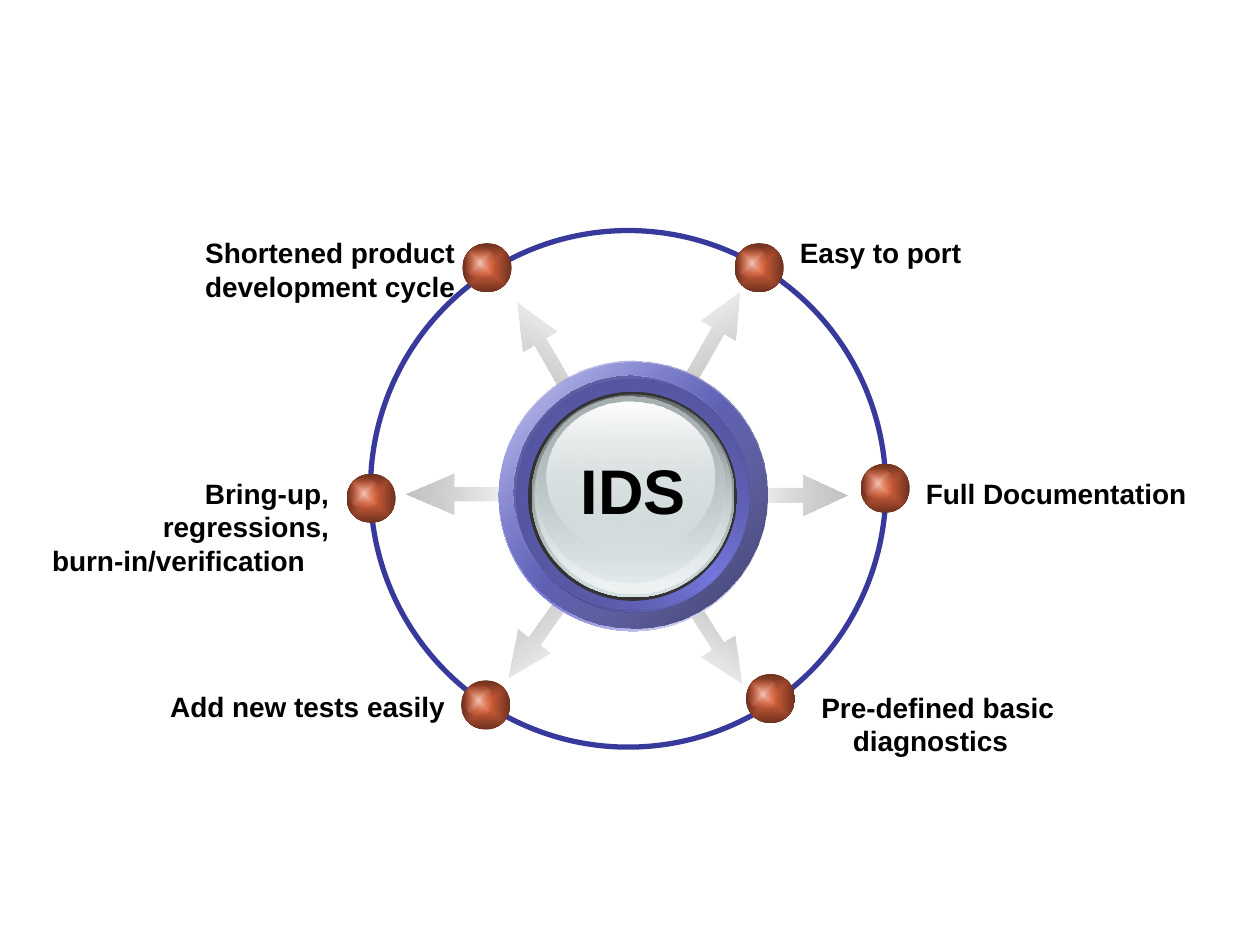
from lxml import etree
from pptx import Presentation
from pptx.dml.color import RGBColor
from pptx.enum.shapes import MSO_SHAPE
from pptx.enum.text import MSO_AUTO_SIZE, PP_ALIGN
from pptx.oxml.ns import qn
from pptx.util import Inches, Pt

OVAL, ARROW = MSO_SHAPE.OVAL, MSO_SHAPE.RIGHT_ARROW
LEFT, CENTER, RIGHT = PP_ALIGN.LEFT, PP_ALIGN.CENTER, PP_ALIGN.RIGHT
FIT = MSO_AUTO_SIZE.SHAPE_TO_FIT_TEXT

prs = Presentation()
prs.slide_width, prs.slide_height = Inches(10), Inches(7.5)
UNIT = prs.slide_width / 100  # grid of 100 columns by 75 rows


def grid(*values):
    return [round(v * UNIT) for v in values]


def within(box, shares):
    """Turn percentages of a box into a box on the grid."""
    x, y, w, h = box
    dx, dy, sw, sh = (v / 100 for v in shares)
    return x + dx * w, y + dy * h, sw * w, sh * h


def color(hex_code):
    return RGBColor.from_string(hex_code)


def gradient(sp, stops, angle=None):
    """Stops are (position, colour, opacity); no angle means from the centre."""
    sp.fill.background()
    old = sp._element.spPr.find(qn("a:noFill"))
    grad = etree.Element(qn("a:gradFill"), rotWithShape="0")
    stop_list = etree.SubElement(grad, qn("a:gsLst"))
    for position, hex_code, opacity in stops:
        gs = etree.SubElement(stop_list, qn("a:gs"), pos=str(position * 1000))
        clr = etree.SubElement(gs, qn("a:srgbClr"), val=hex_code)
        if opacity < 100:
            etree.SubElement(clr, qn("a:alpha"), val=str(opacity * 1000))
    if angle is None:
        path = etree.SubElement(grad, qn("a:path"))
        path.set("path", "rect")
        etree.SubElement(path, qn("a:fillToRect"),
                         {side: "50000" for side in "ltrb"})
    else:
        etree.SubElement(grad, qn("a:lin"), ang=str(round(angle * 60000)), scaled="0")
    old.getparent().replace(old, grad)


def add_shape(shapes, kind, box, stops=None, angle=None):
    sp = shapes.add_shape(kind, *grid(*box))
    sp.shadow.inherit = False
    sp.line.fill.background()
    if stops:
        gradient(sp, stops, angle)
    else:
        sp.fill.background()
    return sp


def add_label(shapes, box, lines, size=16, align=LEFT, wrap=False):
    """Lines are (text, left margin, right margin), margins in inches."""
    tf = shapes.add_textbox(*grid(*box)).text_frame
    tf.word_wrap = wrap
    tf.auto_size = FIT
    for i, (text, left, right) in enumerate(lines):
        p = tf.paragraphs[0] if i == 0 else tf.add_paragraph()
        p.alignment = align
        pPr = p._p.get_or_add_pPr()
        pPr.set("marL", str(Inches(left)))
        pPr.set("marR", str(Inches(right)))
        r = p.add_run()
        r.text = text
        r.font.name, r.font.size, r.font.bold = "Arial", Pt(size), True
        r.font.color.rgb = color("000000")


def add_spoke(shapes, box, rotation):
    sp = add_shape(shapes, ARROW, box,
                   [(0, "C0C0C0", 100), (100, "AAAAAA", 0)], (180 - rotation) % 360)
    sp.rotation = rotation
    sp.adjustments[0] = 0.35
    sp.adjustments[1] = box[2] / box[3] * 0.41


def add_orbit(shapes, box):
    sp = add_shape(shapes, OVAL, box)
    sp.line.color.rgb = color("37399B")
    sp.line.width = Pt(3)


def add_bead(shapes, box):
    group = shapes.add_group_shape()
    add_shape(group.shapes, OVAL, box, [(0, "E3663F", 100), (100, "6D311E", 100)])
    add_shape(group.shapes, OVAL, within(box, (4.5, 8.5, 62, 64)),
              [(0, "F3C6B8", 100), (100, "E3663F", 0)])


# Hub layers from back to front: shares of the hub box, stops, angle
HUB_LAYERS = [
    ((0, 0.9, 100, 100),
     [(0, "FEFEFE", 100), (50, "7476DC", 100), (100, "FEFEFE", 100)], 225),
    ((0, 0, 100, 100), [(0, "353665", 100), (100, "7476DC", 32)], 225),
    ((6.6, 7, 86.9, 86.9),
     [(0, "3E3F76", 100), (50, "7476DC", 100), (100, "3E3F76", 100)], 135),
    ((5.6, 5.6, 86.9, 86.9), [(0, "7476DC", 0), (100, "494A8B", 100)], 225),
    ((10.8, 11.7, 77.9, 77.9), [(0, "333333", 100), (100, "333333", 100)], 90),
    ((12.2, 12.7, 75.6, 75.6), [(0, "626768", 100), (100, "D6E1E2", 100)], 90),
    ((13.1, 13.1, 73.7, 73.7), [(0, "D6E1E2", 0), (100, "EFF3F3", 100)], 90),
    ((14.1, 13.6, 70, 69), [(0, "A8B1B2", 100), (100, "D6E1E2", 48)], 90),
    ((17.8, 15.5, 62.4, 55.9), [(0, "FEFEFE", 100), (100, "D6E1E2", 38)], 90),
]


def add_hub(shapes, box, text):
    for shares, stops, angle in HUB_LAYERS:
        add_shape(shapes, OVAL, within(box, shares), stops, angle)
    add_label(shapes, within(box, (25.8, 31.5, 48.4, 32.9)),
              [(text, 0, 0)], size=36, align=CENTER)


# Spokes: left, top, length, rotation
SPOKES = [
    (52.2, 25.3, 8.7, 299.6), (52.2, 49, 8.7, 57.8), (38.9, 26.2, 8.7, 239.5),
    (38.5, 48.6, 8.7, 125.6), (58.6, 37.7, 8.7, 0), (32.2, 37.6, 9.4, 180),
]

# Benefits: bead corner, label box, alignment, wrap, lines
BENEFITS = [
    ((58.3, 19.3), (62.5, 18.2, 14.8, 3.7), LEFT, False, [("Easy to port", 0, 0)]),
    ((68.3, 36.8), (72.5, 37.3, 22.7, 3.7), LEFT, False,
     [("Full Documentation", 0, 0)]),
    ((59.2, 53.5), (64.2, 54.3, 20.5, 6.4), LEFT, False,
     [("Pre-defined basic", 0, 0), ("diagnostics", 0.25, 0)]),
    ((36.6, 54), (10, 54.2, 26.3, 3.7), RIGHT, True,
     [("Add new tests easily", 0, 0)]),
    ((27.5, 37.6), (1.5, 37.3, 25.6, 6.4), RIGHT, False,
     [("Bring-up, regressions,", 0, 0), ("burn-in/verification", 0, 0.19)]),
    ((36.7, 19.3), (14.7, 18.2, 22.4, 6.4), RIGHT, False,
     [("Shortened product", 0, 0), ("development cycle", 0, 0)]),
]
BEAD = 3.9


def build_slide():
    shapes = prs.slides.add_slide(prs.slide_layouts[6]).shapes
    for x, y, length, rotation in SPOKES:
        add_spoke(shapes, (x, y, length, 3.2), rotation)
    add_orbit(shapes, (29.4, 18.3, 40.9, 41))
    add_hub(shapes, (39.6, 28.6, 21.3, 21.3), "IDS")
    for corner, box, align, wrap, lines in BENEFITS:
        add_bead(shapes, (*corner, BEAD, BEAD))
        add_label(shapes, box, lines, align=align, wrap=wrap)


if __name__ == "__main__":
    build_slide()
    prs.save("out.pptx")
